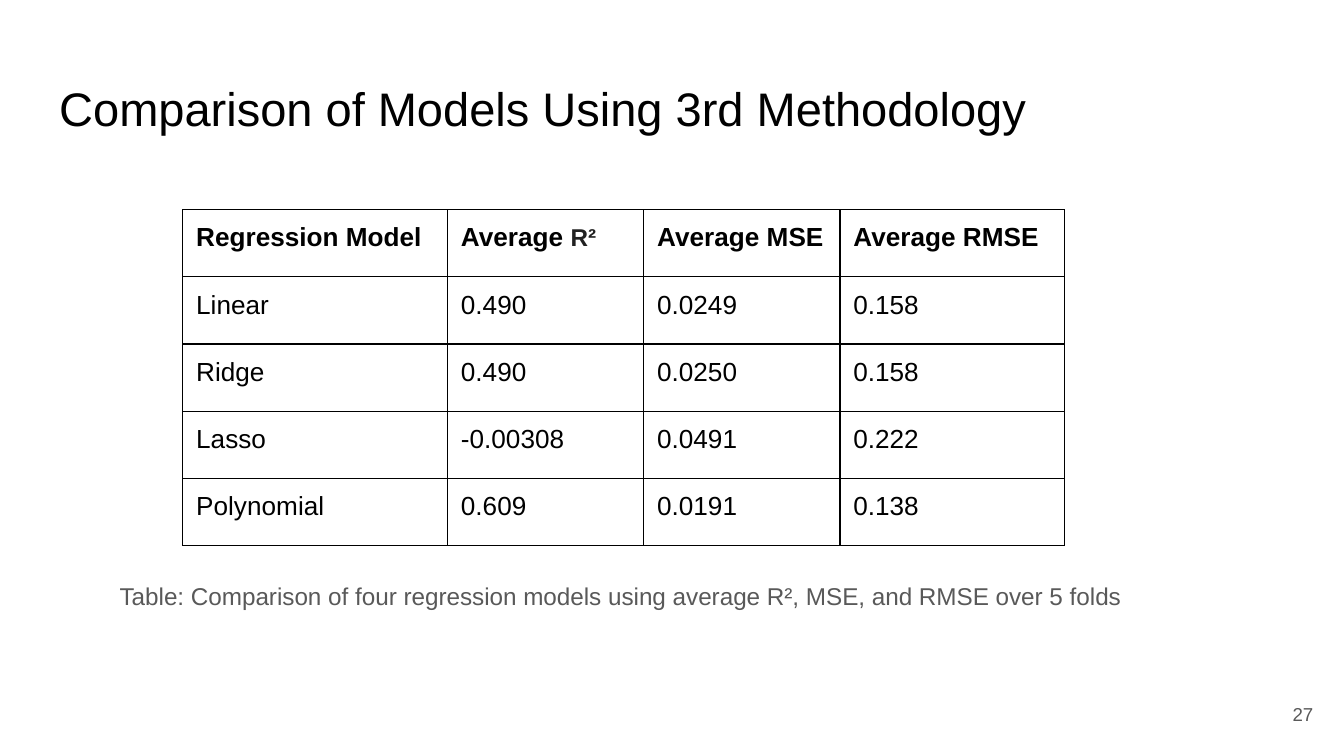
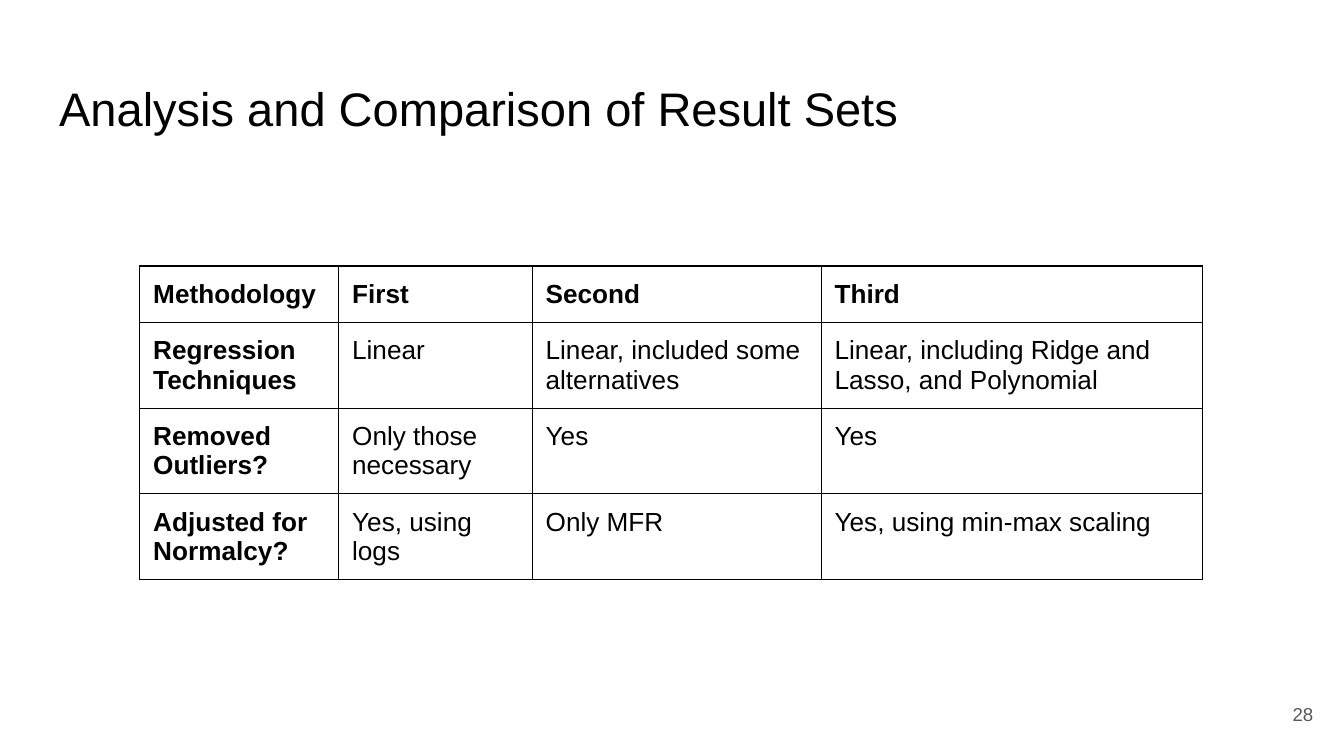
from dataclasses import dataclass

from lxml.etree import SubElement
from pptx import Presentation
from pptx.dml.color import RGBColor
from pptx.enum.text import MSO_ANCHOR, MSO_AUTO_SIZE, PP_ALIGN
from pptx.oxml.ns import qn
from pptx.util import Inches, Pt


@dataclass(frozen=True)
class Theme:
    font: str = "Arial"
    black: str = "000000"
    gray: str = "595959"
    dark: str = "212121"
    title: float = 25.2
    cell: float = 14
    note: float = 13
    page: float = 10
    rule: float = 0.75
    inset: float = 0.1


THEME = Theme()


def write(par, text, size=THEME.cell, color=THEME.black, bold=False):
    run = par.add_run()
    run.text = text
    font = run.font
    font.name, font.size, font.bold = THEME.font, Pt(size), bold
    font.color.rgb = RGBColor.from_string(color)


def border(cell):
    """Rule all four sides of a cell; call before setting its fill."""
    props = cell._tc.get_or_add_tcPr()
    for side in ("lnL", "lnR", "lnT", "lnB"):
        line = SubElement(props, qn(f"a:{side}"), w=str(Pt(THEME.rule)))
        fill = SubElement(line, qn("a:solidFill"))
        SubElement(fill, qn("a:srgbClr"), val=THEME.black)


def inset(item):
    item.margin_left = item.margin_right = Inches(THEME.inset)
    item.margin_top = item.margin_bottom = Inches(THEME.inset)


class Deck:
    def __init__(self):
        self.prs = Presentation()
        self.prs.slide_width = Inches(10)
        self.prs.slide_height = Inches(10) * 9 // 16
        self.slide = None

    def start(self, title, page, layout):
        """Add a slide with its title and page number."""
        self.slide = self.prs.slides.add_slide(self.prs.slide_layouts[layout])
        par = self.place(self.slide.shapes.title, (0.34, 0.49, 9.32, 0.63))
        par.alignment = PP_ALIGN.LEFT
        write(par, title, size=THEME.title)
        self.number(page)

    def place(self, shape, box, anchor=MSO_ANCHOR.TOP):
        """Set a shape's box and frame; return its first paragraph."""
        shape.left, shape.top, shape.width, shape.height = map(Inches, box)
        frame = shape.text_frame
        frame.word_wrap = True
        frame.auto_size = MSO_AUTO_SIZE.NONE
        frame.vertical_anchor = anchor
        inset(frame)
        return frame.paragraphs[0]

    def number(self, page):
        box = self.slide.shapes.add_textbox(0, 0, 0, 0)
        par = self.place(box, (9.27, 5.1, 0.6, 0.43), MSO_ANCHOR.MIDDLE)
        par.alignment = PP_ALIGN.RIGHT
        write(par, str(page), size=THEME.page, color=THEME.gray)

    def caption(self, text, box):
        par = self.place(self.slide.placeholders[1], box)
        props = par._p.get_or_add_pPr()
        props.set("marL", "0")
        props.set("indent", "0")
        SubElement(props, qn("a:buNone"))
        par.line_spacing = 1.15
        par.space_before, par.space_after = Pt(0), Pt(12)
        write(par, text, size=THEME.note, color=THEME.gray)

    def table(self, rows, left, top, widths, height, side=False):
        """Draw a ruled table; side makes the first column bold too."""
        frame = self.slide.shapes.add_table(
            len(rows), len(widths), Inches(left), Inches(top),
            Inches(sum(widths)), Inches(height * len(rows)))
        table = frame.table
        table.first_row = table.horz_banding = False
        for col, width in zip(table.columns, widths):
            col.width = Inches(width)
        for r, row in enumerate(rows):
            table.rows[r].height = Inches(height)
            for c, text in enumerate(row):
                cell = table.cell(r, c)
                inset(cell)
                border(cell)
                cell.fill.background()
                par = cell.text_frame.paragraphs[0]
                bold = r == 0 or (side and c == 0)
                head, mark, _ = text.partition("R²")
                write(par, head, bold=bold)
                if mark:
                    write(par, mark, size=THEME.note, color=THEME.dark, bold=bold)


SCORES = [
    ("Regression Model", "Average R²", "Average MSE", "Average RMSE"),
    ("Linear", "0.490", "0.0249", "0.158"),
    ("Ridge", "0.490", "0.0250", "0.158"),
    ("Lasso", "-0.00308", "0.0491", "0.222"),
    ("Polynomial", "0.609", "0.0191", "0.138"),
]

METHODS = [
    ("Methodology", "First", "Second", "Third"),
    ("Regression Techniques", "Linear", "Linear, included some alternatives",
     "Linear, including Ridge and Lasso, and Polynomial"),
    ("Removed Outliers?", "Only those necessary", "Yes", "Yes"),
    ("Adjusted for Normalcy?", "Yes, using logs", "Only MFR",
     "Yes, using min-max scaling"),
]


def main():
    deck = Deck()

    deck.start("Comparison of Models Using 3rd Methodology", 27, layout=1)
    deck.caption("Table: Comparison of four regression models using average R²,"
                 " MSE, and RMSE over 5 folds", (0.79, 4.19, 8.01, 0.5))
    deck.table(SCORES, 1.36, 1.56, (1.97, 1.46, 1.46, 1.67), 0.5)

    deck.start("Analysis and Comparison of Result Sets", 28, layout=5)
    deck.table(METHODS, 1.04, 1.98, (1.48, 1.44, 2.15, 2.84), 0.42, side=True)

    deck.prs.save("out.pptx")


if __name__ == "__main__":
    main()
